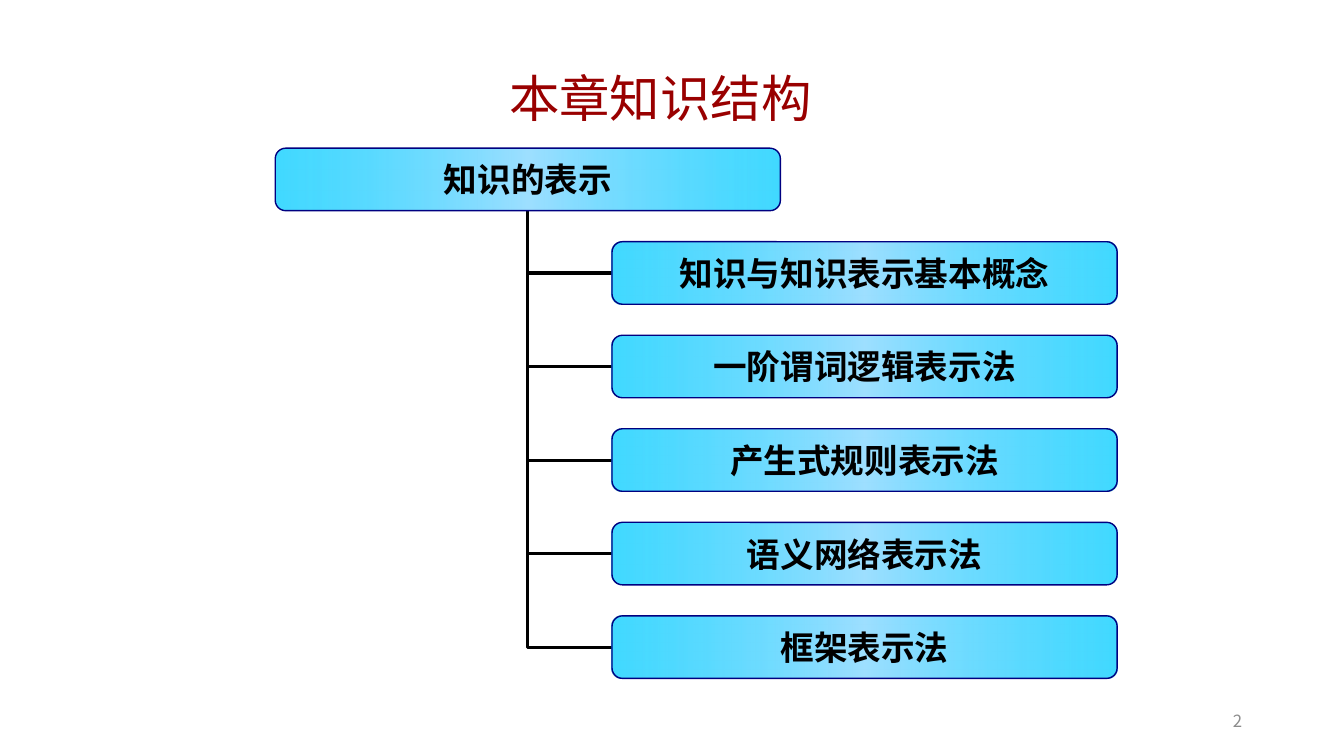
import pptx
import pptx.dml.color
import pptx.enum.shapes
import pptx.enum.text
import pptx.oxml
import pptx.oxml.ns
import pptx.util
from pptx.util import Inches

RGBColor = pptx.dml.color.RGBColor
ALIGN = pptx.enum.text.PP_ALIGN
qn = pptx.oxml.ns.qn

DARK_RED = RGBColor(0x99, 0x00, 0x00)
GREY = RGBColor(0x8C, 0x8C, 0x8C)
BLACK = RGBColor(0x00, 0x00, 0x00)
NAVY = RGBColor(0x00, 0x00, 0x80)
CYAN = RGBColor(0x00, 0xCC, 0xFF)
PALE_BLUE = RGBColor(0x9E, 0xDF, 0xFF)
CJK_FONT = "Noto Sans CJK SC"

ROOT_TOPIC = "知识的表示"
SECTIONS = [
    "知识与知识表示基本概念",
    "一阶谓词逻辑表示法",
    "产生式规则表示法",
    "语义网络表示法",
    "框架表示法",
]
ROOT_LEFT, SECTION_LEFT = 2.73, 6.07
FIRST_TOP, LAST_TOP = 1.47, 6.11
BOX_WIDTH, BOX_HEIGHT = 5.01, 0.62
ROW_PITCH = (LAST_TOP - FIRST_TOP) / len(SECTIONS)

GRADIENT = (
    '<a:gradFill xmlns:a="http://schemas.openxmlformats.org/drawingml/2006/main"'
    ' rotWithShape="1"><a:gsLst>'
    f'<a:gs pos="0"><a:srgbClr val="{CYAN}"><a:alpha val="74000"/></a:srgbClr></a:gs>'
    f'<a:gs pos="50000"><a:srgbClr val="{PALE_BLUE}"/></a:gs>'
    f'<a:gs pos="100000"><a:srgbClr val="{CYAN}"><a:alpha val="74000"/></a:srgbClr></a:gs>'
    '</a:gsLst><a:lin ang="0" scaled="1"/></a:gradFill>'
)


def write(shape, text, size, color, font=CJK_FONT, align=ALIGN.CENTER,
          bold=False, inset=None, wrap=True, line_spacing=None):
    """Put one formatted, vertically centred line of text into a shape."""
    frame = shape.text_frame
    frame.word_wrap = wrap
    frame.auto_size = pptx.enum.text.MSO_AUTO_SIZE.NONE
    frame.vertical_anchor = pptx.enum.text.MSO_ANCHOR.MIDDLE
    if inset is not None:
        frame.margin_left = frame.margin_right = Inches(inset)
        frame.margin_top = frame.margin_bottom = Inches(inset)
    paragraph = frame.paragraphs[0]
    paragraph.alignment = align
    paragraph.line_spacing = line_spacing
    run = paragraph.add_run()
    run.text = text
    run.font.name = font
    run.font.size = pptx.util.Pt(size)
    run.font.bold = bold
    run.font.color.rgb = color
    east_asian = pptx.oxml.parse_xml(
        '<a:ea xmlns:a="http://schemas.openxmlformats.org/drawingml/2006/main"'
        f' typeface="{CJK_FONT}"/>')
    run.font._element.find(qn("a:latin")).addnext(east_asian)


def add_topic(slide, text, left, top):
    """Add one rounded topic box and return it."""
    box = slide.shapes.add_shape(
        pptx.enum.shapes.MSO_SHAPE.ROUNDED_RECTANGLE,
        Inches(left), Inches(top), Inches(BOX_WIDTH), Inches(BOX_HEIGHT))
    box.shadow.inherit = False
    box.line.color.rgb = NAVY
    box.line.width = pptx.util.Pt(1)
    box._element.spPr.find(qn("a:prstGeom")).addnext(pptx.oxml.parse_xml(GRADIENT))
    write(box, text, 24, BLACK, font="Times New Roman", bold=True, inset=0, wrap=False)
    return box


deck = pptx.Presentation()
deck.slide_width, deck.slide_height = Inches(13.33), Inches(7.5)
slide = deck.slides.add_slide(deck.slide_layouts[5])

title = slide.shapes.title
title.left, title.top = Inches(2.05), Inches(0.65)
title.width, title.height = Inches(9), Inches(0.71)
write(title, "本章知识结构", 36, DARK_RED, line_spacing=0.9)

page_number = slide.shapes.add_textbox(Inches(9.42), Inches(6.95), Inches(3), Inches(0.4))
write(page_number, "2", 12, GREY, align=ALIGN.RIGHT)

root = add_topic(slide, ROOT_TOPIC, ROOT_LEFT, FIRST_TOP)
for row, section in enumerate(SECTIONS, start=1):
    topic = add_topic(slide, section, SECTION_LEFT, FIRST_TOP + row * ROW_PITCH)

    branch = slide.shapes.add_connector(pptx.enum.shapes.MSO_CONNECTOR.ELBOW, 0, 0, 0, 0)
    branch.begin_connect(topic, 1)  # left side
    branch.end_connect(root, 2)  # bottom side
    branch.line.color.rgb = BLACK
    branch.line.width = pptx.util.Pt(2.25)
    properties = branch._element.spPr
    properties.append(properties.makeelement(qn("a:effectLst"), {}))

    # A single bend, turned half a circle: left from the topic, then up to the root.
    properties.find(qn("a:prstGeom")).set("prst", "bentConnector2")
    transform = properties.find(qn("a:xfrm"))
    for flip in ("flipH", "flipV"):
        transform.attrib.pop(flip, None)
    transform.set("rot", "10800000")

    # Branches lie behind the boxes.
    root._element.addprevious(branch._element)

deck.save("out.pptx")
